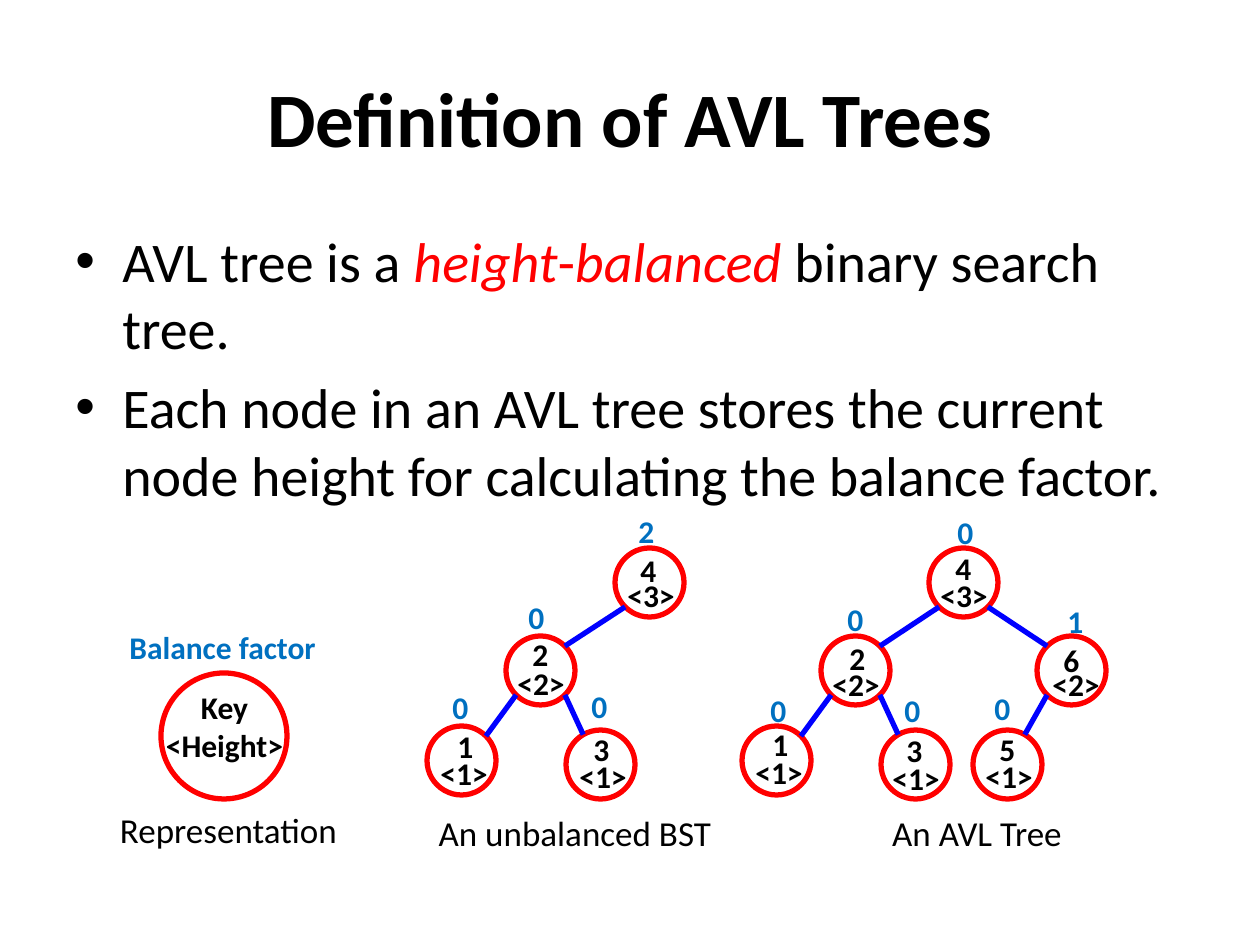
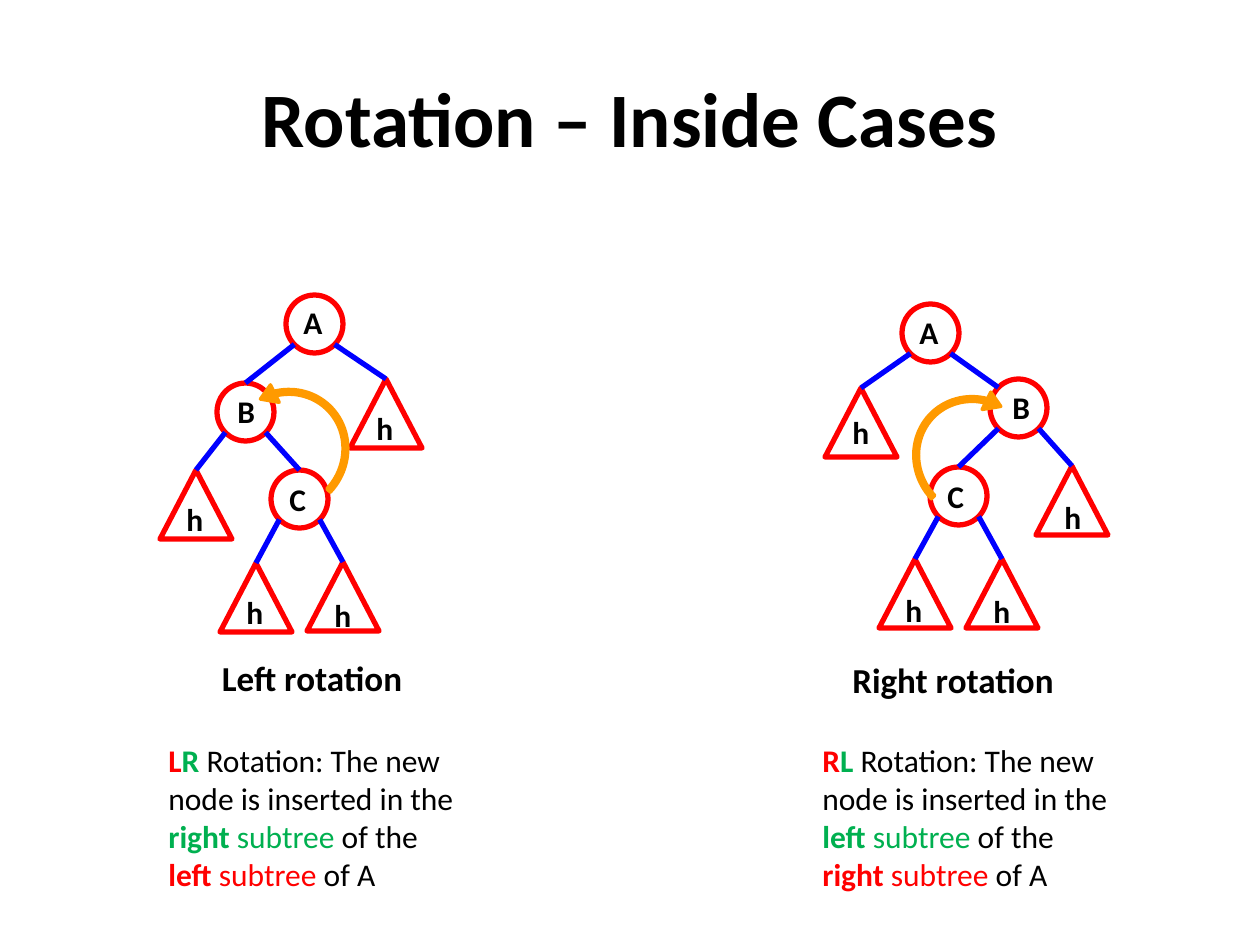
"""Build two slides on AVL trees: their definition and the inside rotation cases."""
from math import cos, radians, sin

from lxml import etree
from pptx import Presentation
from pptx.dml.color import RGBColor
from pptx.enum.shapes import MSO_CONNECTOR, MSO_SHAPE
from pptx.enum.text import MSO_ANCHOR, MSO_AUTO_SIZE, PP_ALIGN
from pptx.oxml.ns import qn
from pptx.util import Emu, Pt

LINE = MSO_CONNECTOR.STRAIGHT
OVAL, TRIANGLE, ARC = MSO_SHAPE.OVAL, MSO_SHAPE.ISOSCELES_TRIANGLE, MSO_SHAPE.CIRCULAR_ARROW
LEFT, CENTER = PP_ALIGN.LEFT, PP_ALIGN.CENTER
TOP, MIDDLE = MSO_ANCHOR.TOP, MSO_ANCHOR.MIDDLE
GROW, FIXED = MSO_AUTO_SIZE.SHAPE_TO_FIT_TEXT, MSO_AUTO_SIZE.NONE

SCALE = 914400 / 126
THEME = {
    "font": "Calibri",
    "black": "000000", "red": "FF0000", "blue": "0000FF", "factor": "0070C0",
    "green": "00B050", "orange": "FF9A00",
    "title": 44, "body": 32, "caption": 20, "label": 18,
    "outline": 3, "arc": 2, "gap": 7,
}
PAD = (12.6, 18.9)
PLAIN_PAD = (12.6, 6.3)
TITLE_BOX = (63, 38, 1134, 157)
BODY_BOX = (63, 220, 1134, 359)
INDENT = 47
LABEL_H = 77
KEY_NODE = (161, 673, 126, 126)
ARC_ADJ = (0.035, 9.055, 194.768, 108, 0.072)

BODY = [
    [("AVL tree is a ", "black", ""), ("height", "red", "i"), ("-", "red", ""),
     ("balanced ", "red", "i"), ("binary search tree.", "black", "")],
    [("Each node in an AVL tree stores the current node height for calculating "
      "the balance factor.", "black", "")],
]

# parent, left, top, site angle, (key, dx, dy, width), (height, dx, dy), (factor, dx, dy)
HEIGHT_TREES = [
    [
        (None, 615, 548, 45, ("4", 13, -16, 38), ("<3>", 0, 9), ("2", 11, -55)),
        (0, 506, 636, 45, ("2", 14, -20, 69), ("<2>", -1, 9), ("0", 10, -57)),
        (1, 427, 726, 45, ("1", 18, -18, 49), ("<1>", 1, 9), ("0", 13, -57)),
        (1, 566, 730, 60, ("3", 15, -19, 69), ("<1>", 1, 8), ("0", 13, -62)),
    ],
    [
        (None, 929, 548, 45, ("4", 14, -18, 69), ("<3>", -1, 9), ("0", 16, -54)),
        (0, 821, 636, 45, ("2", 16, -16, 69), ("<2>", -1, 10), ("0", 14, -55)),
        (0, 1037, 636, 45, ("6", 14, -14, 49), ("<2>", 3, 10), ("1", 18, -53)),
        (1, 742, 726, 45, ("1", 18, -20, 49), ("<1>", 1, 8), ("0", 16, -54)),
        (1, 881, 730, 60, ("3", 13, -18, 69), ("<1>", -1, 10), ("0", 11, -58)),
        (2, 973, 730, 60, ("5", 14, -19, 49), ("<1>", 0, 8), ("0", 9, -60)),
    ],
]
LEGEND = [
    (["Key", "<Height>"], "black", CENTER, (150, 669, 149, 115)),
    (["Balance factor"], "factor", LEFT, (117, 609, 222, LABEL_H)),
]
TREE_CAPTIONS = [
    ("An unbalanced BST", (388, 793, 374, 81)),
    ("An AVL Tree", (790, 793, 374, 81)),
    ("Representation", (102, 790, 253, 82)),
]

ROTATIONS = [
    {
        "nodes": [
            (None, 286, 295, 90, ("A", 5, -11, 57)),
            (0, 217, 383, 90, ("B", 8, -10, 40)),
            (0, 350, 379, 90, ("h", 14, 11, 57)),
            (1, 160, 470, 90, ("h", 14, 11, 57)),
            (1, 271, 470, 90, ("C", 6, -9, 40)),
            (4, 220, 563, 90, ("h", 14, 11, 57)),
            (4, 307, 562, 90, ("h", 15, 15, 57)),
        ],
        "arc": ((219, 381, 135, 140), 43.1, True),
        "caption": ("Left rotation", (125, 638, 374, 81)),
        "sides": ("left", "right"), "note": (156, 735, 315, 165),
    },
    {
        "nodes": [
            (None, 902, 304, 90, ("A", 5, -10, 57)),
            (0, 825, 388, 90, ("h", 15, 6, 57)),
            (0, 990, 379, 45, ("B", 10, -10, 40)),
            (2, 930, 467, 90, ("C", 5, -9, 40)),
            (2, 1036, 466, 90, ("h", 16, 13, 57)),
            (3, 879, 559, 90, ("h", 14, 13, 57)),
            (3, 966, 559, 90, ("h", 15, 14, 57)),
        ],
        "arc": ((908, 388, 134, 140), 316.9, False),
        "caption": ("Right rotation", (766, 640, 374, 81)),
        "sides": ("right", "left"), "note": (810, 735, 315, 165),
    },
]


def px(v):
    return Emu(round(v * SCALE))


def rgb(name):
    return RGBColor.from_string(THEME[name])


def apply(obj, **fmt):
    for name, value in fmt.items():
        setattr(obj, name, value)


def text(slide, box, paras, size, align=LEFT, anchor=TOP, pad=PAD, fit=GROW):
    sp = slide.shapes.add_textbox(*map(px, box))
    tf = sp.text_frame
    apply(tf, word_wrap=True, auto_size=fit, vertical_anchor=anchor,
          margin_left=px(pad[0]), margin_right=px(pad[0]),
          margin_top=px(pad[1]), margin_bottom=px(pad[1]))
    for i, runs in enumerate(paras):
        p = tf.add_paragraph() if i else tf.paragraphs[0]
        p.alignment = align
        for words, colour, style in runs:
            r = p.add_run()
            r.text = words
            apply(r.font, name=THEME["font"], size=Pt(THEME[size]),
                  bold="b" in style, italic="i" in style)
            r.font.color.rgb = rgb(colour)
    return tf


def label(slide, words, left, top, width, colour="black"):
    text(slide, (left, top, width, LABEL_H), [[(words, colour, "b")]], "label")


def caption(slide, words, box, style=""):
    text(slide, box, [[(words, "black", style)]], "caption", CENTER)


def bullet(p):
    p.space_before = Pt(THEME["gap"])
    pr = p._p.get_or_add_pPr()
    pr.set("marL", str(px(INDENT)))
    pr.set("indent", str(-px(INDENT)))
    etree.SubElement(pr, qn("a:buFont")).set("typeface", "Arial")
    etree.SubElement(pr, qn("a:buChar")).set("char", "\u2022")


def shape(slide, kind, box, colour="red", width="outline"):
    sp = slide.shapes.add_shape(kind, *map(px, box))
    sp.shadow.inherit = False
    sp.fill.background()
    sp.line.color.rgb = rgb(colour)
    sp.line.width = Pt(THEME[width])
    return sp


def site(box, side, angle):
    left, top, w, h = box
    a = radians(angle)
    return left + w / 2 * (1 + side * cos(a)), top + h / 2 * (1 - sin(a))


def edge(slide, parent, child, angle):
    side = 1 if parent[0] + parent[2] / 2 > child[0] + child[2] / 2 else -1
    ends = site(child, side, angle) + site(parent, -side, -45)
    ln = slide.shapes.add_connector(LINE, *map(px, ends))
    ln.line.color.rgb = rgb("blue")
    ln.line.width = Pt(THEME["outline"])
    etree.SubElement(ln.element.spPr, qn("a:effectLst"))


def tree(slide, nodes, circle):
    boxes = []
    for parent, left, top, angle, key, *extras in nodes:
        leaf = key[0] == "h"
        box = (left, top) + ((72, 69) if leaf else circle)
        boxes.append(box)
        shape(slide, TRIANGLE if leaf else OVAL, box)
        if parent is not None:
            edge(slide, boxes[parent], box, angle)
        words, dx, dy, width = key
        label(slide, words, left + dx, top + dy, width)
        for (words, dx, dy), width, colour in zip(extras, (98, 69), ("black", "factor")):
            label(slide, words, left + dx, top + dy, width, colour)


def arc(slide, box, angle, flip):
    sp = shape(slide, ARC, box, "orange", "arc")
    sp.fill.solid()
    sp.fill.fore_color.rgb = rgb("orange")
    for i, value in enumerate(ARC_ADJ):
        sp.adjustments[i] = value
    sp.rotation = angle
    if flip:
        sp.element.spPr.find(qn("a:xfrm")).set("flipH", "1")


def note(slide, outer, inner, box):
    runs = [
        (outer[0].upper(), "red", "b"), (inner[0].upper(), "green", "b"),
        (" Rotation: The new node is inserted in the ", "black", ""),
        (inner, "green", "b"), (" subtree", "green", ""), (" of the ", "black", ""),
        (outer, "red", "b"), (" subtree", "red", ""), (" of A", "black", ""),
    ]
    text(slide, box, [runs], "label", pad=PLAIN_PAD)


def new_slide(prs, title):
    slide = prs.slides.add_slide(prs.slide_layouts[6])
    text(slide, TITLE_BOX, [[(title, "black", "b")]], "title", CENTER, MIDDLE, PLAIN_PAD, FIXED)
    return slide


def definition(prs):
    slide = new_slide(prs, "Definition of AVL Trees")
    for p in text(slide, BODY_BOX, BODY, "body", pad=PLAIN_PAD, fit=FIXED).paragraphs:
        bullet(p)
    for nodes in HEIGHT_TREES:
        tree(slide, nodes, (69, 69))
    shape(slide, OVAL, KEY_NODE)
    for lines, colour, align, box in LEGEND:
        text(slide, box, [[(words, colour, "b")] for words in lines], "label", align)
    for words, box in TREE_CAPTIONS:
        caption(slide, words, box)


def rotations(prs):
    slide = new_slide(prs, "Rotation \u2013 Inside Cases")
    for case in ROTATIONS:
        tree(slide, case["nodes"], (57, 58))
        arc(slide, *case["arc"])
        caption(slide, *case["caption"], "b")
        note(slide, *case["sides"], case["note"])


prs = Presentation()
apply(prs, slide_width=px(1260), slide_height=px(945))
definition(prs)
rotations(prs)
prs.save("out.pptx")
